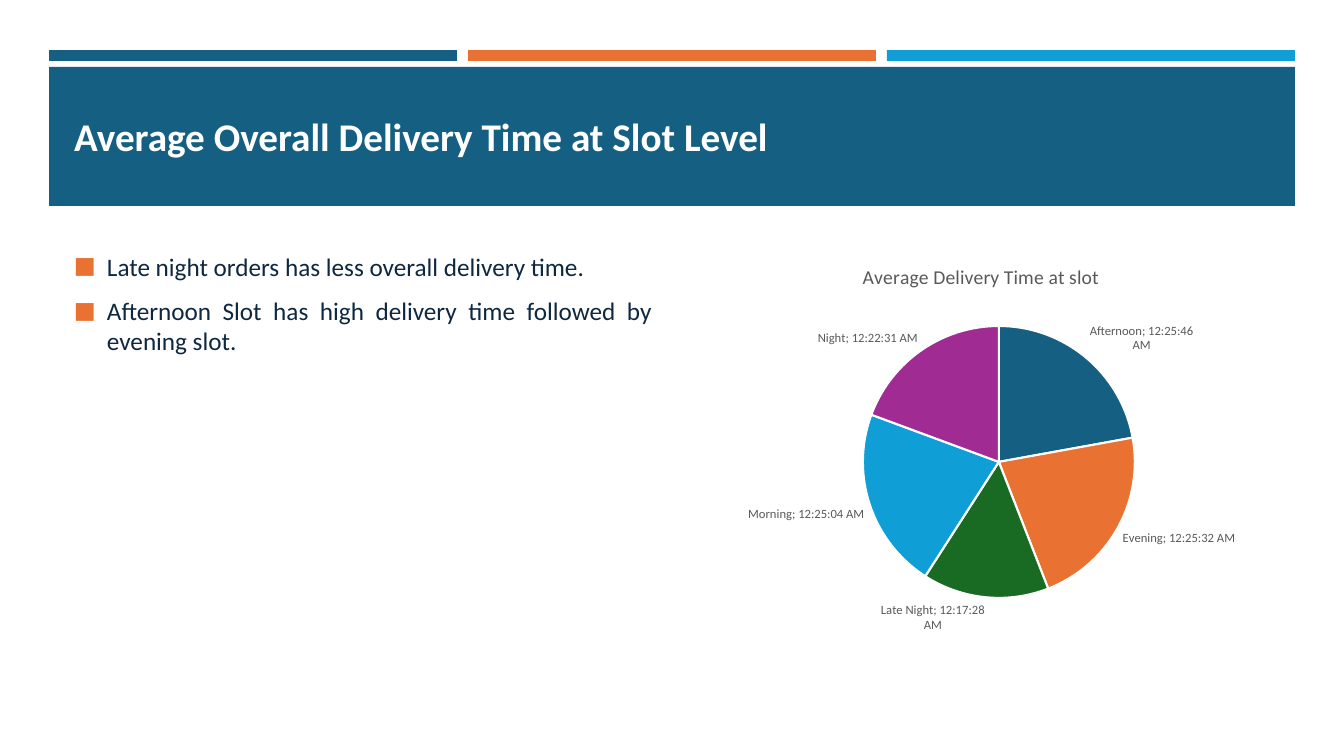
"""Build the delivery time by slot slide."""
from lxml import etree
from pptx import Presentation
from pptx.chart.data import CategoryChartData
from pptx.dml.color import RGBColor
from pptx.enum.chart import XL_CHART_TYPE, XL_LABEL_POSITION
from pptx.enum.shapes import MSO_SHAPE
from pptx.enum.text import MSO_ANCHOR, PP_ALIGN
from pptx.oxml import parse_xml
from pptx.oxml.ns import nsdecls, qn
from pptx.util import Pt

PX = 914400 / 100.8
RECT = MSO_SHAPE.RECTANGLE
PIE = XL_CHART_TYPE.PIE
OUTSIDE_END = XL_LABEL_POSITION.OUTSIDE_END
MIDDLE, TOP = MSO_ANCHOR.MIDDLE, MSO_ANCHOR.TOP
LEFT, JUSTIFY = PP_ALIGN.LEFT, PP_ALIGN.JUSTIFY

FONT = "Calibri"
TEAL = RGBColor(0x15, 0x60, 0x82)
ORANGE = RGBColor(0xE9, 0x71, 0x32)
BLUE = RGBColor(0x0F, 0x9E, 0xD5)
GREEN = RGBColor(0x19, 0x6B, 0x24)
PURPLE = RGBColor(0xA0, 0x2B, 0x93)
NAVY = RGBColor(0x0E, 0x28, 0x41)
GREY = RGBColor(0x59, 0x59, 0x59)
WHITE = RGBColor(0xFF, 0xFF, 0xFF)


def px(*lengths):
    return [round(n * PX) for n in lengths]


def style(font, size, color, bold=False):
    font.name, font.size, font.bold = FONT, Pt(size), bold
    font.color.rgb = color


prs = Presentation()
prs.slide_width, prs.slide_height = px(1344, 756)
s = prs.slides.add_slide(prs.slide_layouts[5])

bars = [(49 + 419 * i, 50, 408, 11, color) for i, color in enumerate((TEAL, ORANGE, BLUE))]
for x, y, w, h, color in bars + [(49, 67, 1246, 139, TEAL)]:
    sp = s.shapes.add_shape(RECT, *px(x, y, w, h))
    sp.shadow.inherit = False
    sp.fill.solid()
    sp.fill.fore_color.rgb = color
    sp.line.fill.background()

title = s.shapes.title
sp.element.addnext(title.element)
title.left, title.top, title.width, title.height = px(64, 81, 1216, 109)
tf = title.text_frame
tf.vertical_anchor = MIDDLE
p = tf.paragraphs[0]
p.alignment = LEFT
r = p.add_run()
r.text = "Average Overall Delivery Time at Slot Level"
style(r.font, 28, WHITE, True)

body = s.shapes.add_textbox(*px(64, 246, 598, 400))
tf = body.text_frame
tf.word_wrap = True
tf.vertical_anchor = TOP
findings = (
    "Late night orders has less overall delivery time.",
    "Afternoon Slot has high delivery time followed by evening slot.",
)
for i, finding in enumerate(findings):
    p = tf.paragraphs[0] if i == 0 else tf.add_paragraph()
    p.alignment = JUSTIFY
    p.space_before = Pt(4 if i else 0)
    p.space_after = Pt(6)
    pPr = p._p.get_or_add_pPr()
    indent = px(33)[0]
    pPr.set("marL", str(indent))
    pPr.set("indent", str(-indent))
    color = etree.SubElement(pPr, qn("a:buClr"))
    etree.SubElement(color, qn("a:srgbClr"), val=str(ORANGE))
    etree.SubElement(pPr, qn("a:buSzPct"), val="92000")
    etree.SubElement(pPr, qn("a:buFont"), typeface=FONT)
    etree.SubElement(pPr, qn("a:buChar"), char="■")
    r = p.add_run()
    r.text = finding
    style(r.font, 18, NAVY)

slots = (
    ("Afternoon", 0.017896, TEAL),
    ("Evening", 0.017734, ORANGE),
    ("Late Night", 0.012135, GREEN),
    ("Morning", 0.01741, BLUE),
    ("Night", 0.015641, PURPLE),
)
data = CategoryChartData()
data.categories = [name for name, _, _ in slots]
data.add_series("Series 1", [time for _, time, _ in slots])
chart = s.shapes.add_chart(PIE, *px(682, 246, 598, 400), data).chart
chart.has_legend = False
style(chart.font, 10, GREY)
chart.has_title = True
r = chart.chart_title.text_frame.paragraphs[0].add_run()
r.text = "Average Delivery Time at slot"
style(r.font, 14, GREY)

plot = chart.plots[0]
plot.vary_by_categories = True
series = plot.series[0]
for i, (_, _, color) in enumerate(slots):
    fmt = series.points[i].format
    fmt.fill.solid()
    fmt.fill.fore_color.rgb = color
    fmt.line.color.rgb = WHITE
    fmt.line.width = Pt(1.5)

plot.has_data_labels = True
labels = plot.data_labels
labels.show_category_name = True
labels.show_value = True
labels.show_percentage = False
labels.number_format = "[$-F400]h:mm:ss\\ AM/PM"
labels.number_format_is_linked = False
labels.position = OUTSIDE_END
style(labels.font, 9, GREY)

plot_area = chart.element.find(".//" + qn("c:plotArea"))
for layout in plot_area.findall(qn("c:layout")):
    plot_area.remove(layout)
plot_area.insert(0, parse_xml(
    f'<c:layout {nsdecls("c")}><c:manualLayout><c:layoutTarget val="inner"/>'
    '<c:xMode val="edge"/><c:yMode val="edge"/><c:x val="0.3"/><c:y val="0.2"/>'
    '<c:w val="0.46"/><c:h val="0.68"/></c:manualLayout></c:layout>'
))

prs.save("out.pptx")
